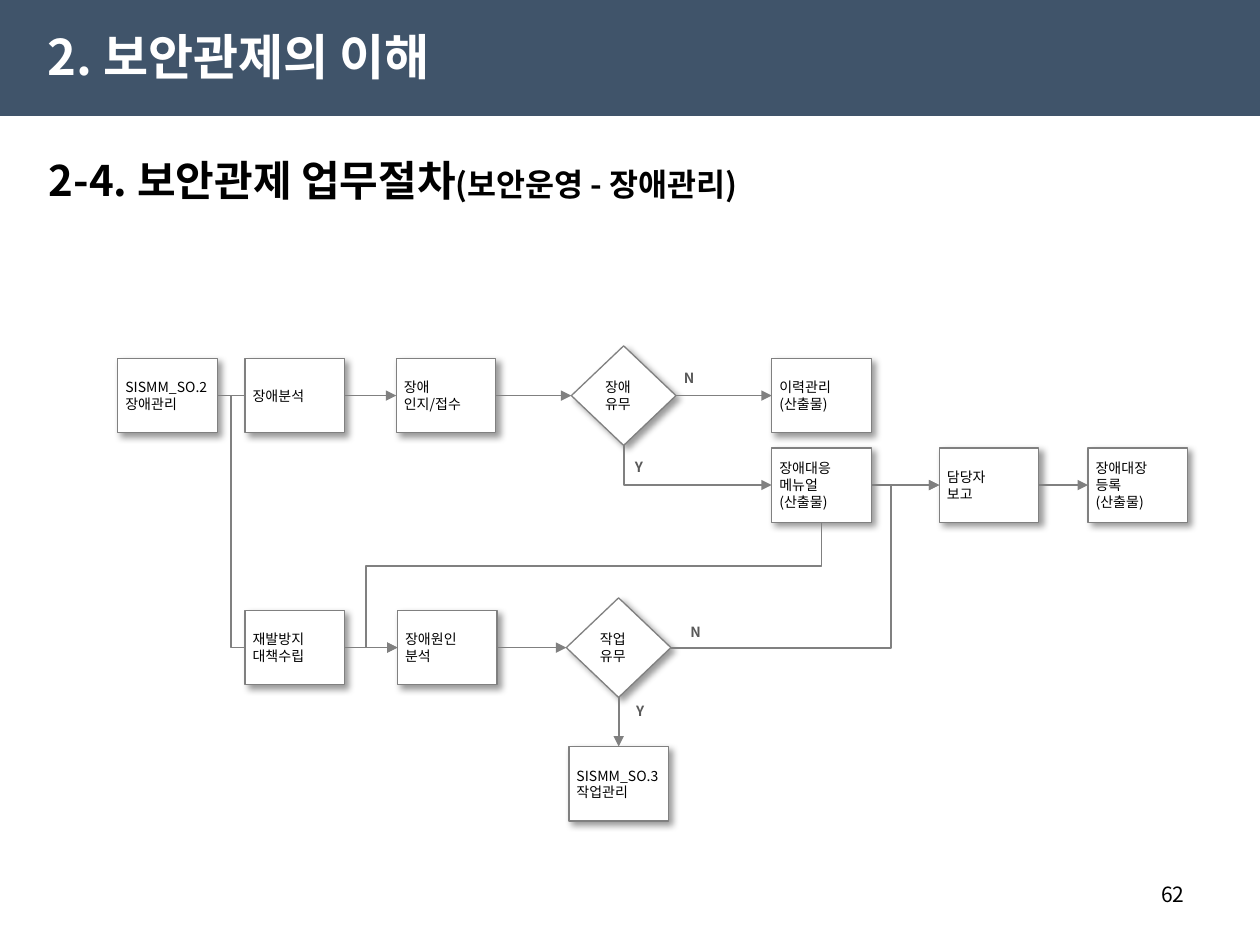
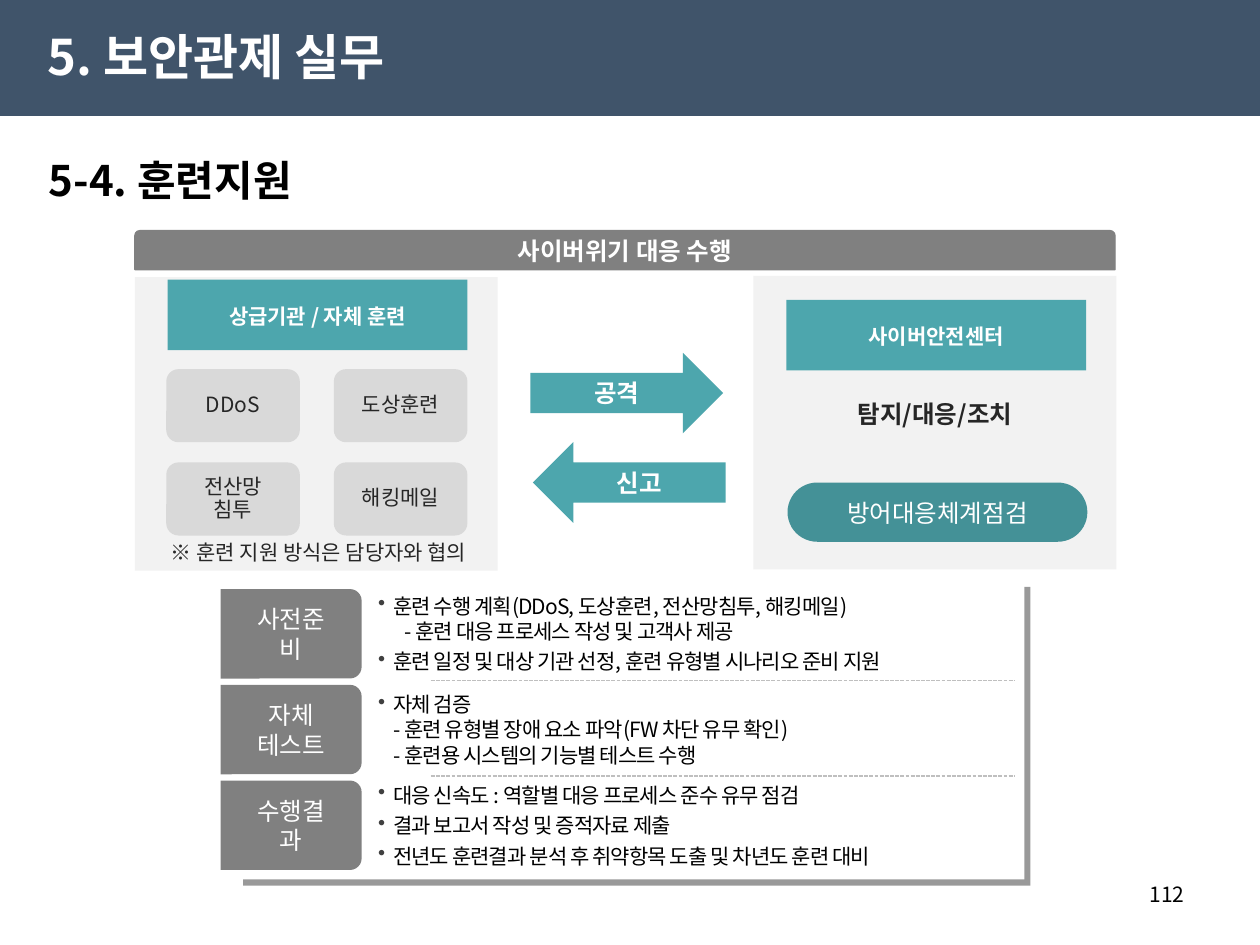
from lxml import etree
from pptx import Presentation
from pptx.dml.color import RGBColor
from pptx.enum.dml import MSO_LINE
from pptx.enum.shapes import MSO_CONNECTOR, MSO_SHAPE
from pptx.enum.text import MSO_ANCHOR, MSO_AUTO_SIZE, PP_ALIGN
from pptx.oxml.ns import qn
from pptx.util import Inches, Pt

LEFT, CENTER, RIGHT = PP_ALIGN.LEFT, PP_ALIGN.CENTER, PP_ALIGN.RIGHT
TOP, MIDDLE = MSO_ANCHOR.TOP, MSO_ANCHOR.MIDDLE
RECT, ROUNDED = MSO_SHAPE.RECTANGLE, MSO_SHAPE.ROUNDED_RECTANGLE
TOP_ROUNDED = MSO_SHAPE.ROUND_2_SAME_RECTANGLE
DECISION = MSO_SHAPE.FLOWCHART_DECISION
RIGHT_ARROW, LEFT_ARROW = MSO_SHAPE.RIGHT_ARROW, MSO_SHAPE.LEFT_ARROW
STRAIGHT, ELBOW = MSO_CONNECTOR.STRAIGHT, MSO_CONNECTOR.ELBOW

FONT = "Noto Sans CJK KR"
NAVY, TEAL, DARK_TEAL = "40546A", "4DA6AD", "449197"
WHITE, BLACK, GRAY, INK = "FFFFFF", "000000", "808080", "262626"
PALE, SILVER, DASH, LABEL, BULLET = "F2F2F2", "D9D9D9", "BFBFBF", "595959", "404040"
DEFAULT_INSETS = (0.1, 0.05)


def color(hex_value):
    return RGBColor.from_string(hex_value)


def child(parent, tag, **attributes):
    return etree.SubElement(parent, qn(tag), attributes)


# Text
def add_span(para, text, size, ink=BLACK, bold=False, spacing=None):
    span = para.add_run()
    span.text = text
    span.font.size, span.font.bold, span.font.name = Pt(size), bold, FONT
    span.font.color.rgb = color(ink)
    properties = span.font._element
    child(properties, "a:ea", typeface=FONT)
    if spacing is not None:
        properties.set("spc", str(round(spacing * 100)))


def prepare_frame(box, anchor=MIDDLE, insets=DEFAULT_INSETS, wrap=True):
    frame = box.text_frame
    frame.word_wrap, frame.vertical_anchor = wrap, anchor
    frame.auto_size = MSO_AUTO_SIZE.NONE
    frame.margin_left = frame.margin_right = Inches(insets[0])
    frame.margin_top = frame.margin_bottom = Inches(insets[1])
    return frame


def write(box, lines, size, ink=BLACK, bold=False, align=LEFT, line_spacing=None,
          **frame_options):
    frame = prepare_frame(box, **frame_options)
    for index, line in enumerate(lines):
        para = frame.add_paragraph() if index else frame.paragraphs[0]
        para.alignment, para.line_spacing = align, line_spacing
        add_span(para, line, size, ink, bold)


def add_box(page, left, top, width, height):
    return page.shapes.add_textbox(
        Inches(left), Inches(top), Inches(width), Inches(height))


# Shapes and lines
def add_figure(page, preset, left, top, width, height, fill, adjust=(), outline=None):
    figure = page.shapes.add_shape(
        preset, Inches(left), Inches(top), Inches(width), Inches(height))
    figure.shadow.inherit = False
    figure.fill.solid()
    figure.fill.fore_color.rgb = color(fill)
    if outline:
        figure.line.color.rgb = color(outline)
        figure.line.width = Pt(0.75)
    else:
        figure.line.fill.background()
    for index, value in enumerate(adjust):
        figure.adjustments[index] = value
    return figure


def cast_shadow(figure, blur, distance):
    effects = figure.element.spPr.find(qn("a:effectLst"))
    shadow = child(effects, "a:outerShdw", blurRad=str(Pt(blur)), dist=str(Pt(distance)),
                   dir="2700000", algn="tl", rotWithShape="0")
    child(child(shadow, "a:srgbClr", val=BLACK), "a:alpha", val="40000")


def add_line(page, kind, start, end, ink=GRAY, width=1):
    line = page.shapes.add_connector(kind, *start, *end)
    line.line.color.rgb = color(ink)
    line.line.width = Pt(width)
    child(line.element.spPr, "a:effectLst")
    return line


def side(figure, name):
    middle_x = figure.left + figure.width // 2
    middle_y = figure.top + figure.height // 2
    return {
        "left": (figure.left, middle_y),
        "right": (figure.left + figure.width, middle_y),
        "top": (middle_x, figure.top),
        "bottom": (middle_x, figure.top + figure.height),
    }[name]


def link(page, tip, origin, bend=None, adjust=(), arrow=True):
    """Join two points; the arrowhead sits on the tip."""
    line = add_line(page, ELBOW if bend else STRAIGHT, tip, origin)
    if bend:
        geometry = line.element.spPr.find(qn("a:prstGeom"))
        geometry.set("prst", bend)
        guides = geometry.find(qn("a:avLst"))
        for number, value in enumerate(adjust, 1):
            child(guides, "a:gd", name=f"adj{number}", fmla=f"val {round(value * 100000)}")
    if arrow:
        child(line.element.spPr.find(qn("a:ln")), "a:headEnd", type="triangle")


# Parts shared by the pages
def add_band(page, layout):
    band = add_figure(page, RECT, 0, 0, 10, 0.92, NAVY)
    layout.shapes.element.insert(2, band.element)


def add_page(deck, layout, title, heading, number):
    page = deck.slides.add_slide(layout)
    holder = page.shapes.title
    holder.left, holder.top = Inches(0.28), Inches(0.13)
    holder.width, holder.height = Inches(4.72), Inches(0.63)
    write(holder, [title], 28, WHITE, True)

    para = prepare_frame(add_box(page, 0.29, 1.15, 9.43, 0.55)).paragraphs[0]
    for text, size in heading:
        add_span(para, text, size, bold=True)
    write(add_box(page, 7.17, 6.95, 2.33, 0.4), [number], 12, align=RIGHT, anchor=TOP)
    return page


# Incident handling flow
def draw_flow(page, left, top):
    first, second, third, fourth = 0.39, 1.1, 2.39, 3.47

    def step(lines, x, y, preset=RECT, width=0.79, height=0.59):
        figure = add_figure(page, preset, left + x - width / 2, top + y - height / 2,
                            width, height, WHITE, outline=GRAY)
        cast_shadow(figure, 4, 3)
        write(figure, lines, 8, insets=(0.06, 0.03))
        return figure

    def decision(lines, x, y):
        return step(lines, x, y, DECISION, 0.83, 0.79)

    start = step(["SISMM_SO.2", "장애관리"], 0.4, first)
    analysis = step(["장애분석"], 1.41, first)
    intake = step(["장애", "인지/접수"], 2.61, first)
    fault = decision(["장애", "유무"], 4.02, first)
    history = step(["이력관리", "(산출물)"], 5.59, first)
    manual = step(["장애대응", "메뉴얼", "(산출물)"], 5.59, second)
    report = step(["담당자", "보고"], 6.92, second)
    register = step(["장애대장", "등록", "(산출물)"], 8.1, second)
    prevention = step(["재발방지", "대책수립"], 1.41, third)
    cause = step(["장애원인", "분석"], 2.62, third)
    work = decision(["작업", "유무"], 3.98, third)
    work_control = step(["SISMM_SO.3", "작업관리"], 3.98, fourth)

    # Straight links along the rows
    link(page, side(analysis, "left"), side(start, "right"), arrow=False)
    for source, target in [(analysis, intake), (intake, fault), (fault, history),
                           (manual, report), (report, register),
                           (prevention, cause), (cause, work)]:
        link(page, side(target, "left"), side(source, "right"))
    link(page, side(work_control, "top"), side(work, "bottom"))

    # Bent links between the rows
    link(page, side(start, "right"), side(prevention, "left"), "bentConnector3", arrow=False)
    link(page, side(manual, "left"), side(fault, "bottom"), "bentConnector2")
    link(page, side(cause, "left"), side(manual, "bottom"), "bentConnector4", (-0.074, 0.648))
    link(page, side(report, "left"), side(work, "right"), "bentConnector3", (0.179,))

    for answer, x, y in [("Y", 4.01, 0.84), ("N", 4.4, 0.13),
                         ("Y", 4.02, 2.78), ("N", 4.45, 2.15)]:
        write(add_box(page, left + x, top + y, 0.28, 0.24), [answer], 8, LABEL, True,
              anchor=TOP, wrap=False)


# Drill overview
def draw_heading_bar(page, left, top):
    bar = add_figure(page, TOP_ROUNDED, left, top, 7.78, 0.31, GRAY, (0.13, 0), GRAY)
    write(bar, ["사이버위기 대응 수행"], 14, WHITE, True, CENTER, insets=(0, 0))


def draw_side_panel(page, left, top, name, name_top):
    add_figure(page, RECT, left, top, 2.88, 2.33, PALE)
    plate = add_figure(page, RECT, left + 0.26, top + name_top, 2.38, 0.56, TEAL)
    write(plate, [name], 12, WHITE, True, CENTER, 1.1, insets=(0, 0))


def draw_drills(page, left, top):
    draw_side_panel(page, left, top, "상급기관 / 자체 훈련", 0.02)
    drills = [["DDoS"], ["도상훈련"], ["전산망", "침투"], ["해킹메일"]]
    for index, lines in enumerate(drills):
        row, column = divmod(index, 2)
        tile = add_figure(page, ROUNDED, left + 0.25 + column * 1.33,
                          top + 0.73 + row * 0.74, 1.06, 0.58, SILVER)
        write(tile, lines, 12, INK, align=CENTER, line_spacing=0.9)
    write(add_box(page, left, top + 2.1, 2.92, 0.19), ["※ 훈련 지원 방식은 담당자와 협의"],
          12, INK, align=CENTER, line_spacing=Pt(13), anchor=TOP, insets=(0, 0))


def draw_center(page, left, top):
    draw_side_panel(page, left, top, "사이버안전센터", 0.19)
    write(add_box(page, left + 0.61, top + 0.95, 1.66, 0.26), ["탐지/대응/조치"],
          14, INK, True, CENTER, 1.1, anchor=TOP, insets=(0, 0))
    pill = add_figure(page, ROUNDED, left + 0.27, top + 1.64, 2.38, 0.47, DARK_TEAL, (0.5,))
    write(pill, ["방어대응체계점검"], 14, WHITE, align=CENTER, line_spacing=Pt(17))


def draw_exchange(page, left, top):
    for index, (preset, name) in enumerate([(RIGHT_ARROW, "공격"), (LEFT_ARROW, "신고")]):
        arrow = add_figure(page, preset, left + index * 0.02, top + index * 0.71,
                           1.53, 0.64, TEAL)
        write(arrow, [name], 14, WHITE, True, CENTER)


# Drill phases: each line holds its text, its dash indent (0 for a bullet) and space after
PHASES = [
    ("사전준비", 0.69, [
        ("훈련 수행 계획(DDoS, 도상훈련, 전산망침투, 해킹메일)", 0, 0),
        ("- 훈련 대응 프로세스 작성 및 고객사 제공", 0.21, 3),
        ("훈련 일정 및 대상 기관 선정, 훈련 유형별 시나리오 준비 지원", 0, 3)]),
    ("자체 테스트", 0.91, [
        ("자체 검증", 0, 0),
        ("- 훈련 유형별 장애 요소 파악(FW 차단 유무 확인)", 0.12, 0),
        ("- 훈련용 시스템의 기능별 테스트 수행", 0.12, 3)]),
    ("수행결과", 0.69, [
        ("대응 신속도 : 역할별 대응 프로세스 준수 유무 점검", 0, 3),
        ("결과 보고서 작성 및 증적자료 제출", 0, 3),
        ("전년도 훈련결과 분석 후 취약항목 도출 및 차년도 훈련 대비", 0, 3)]),
]


def write_phase(box, lines):
    frame = prepare_frame(box, insets=(0, 0))
    for index, (text, dash_indent, after) in enumerate(lines):
        para = frame.add_paragraph() if index else frame.paragraphs[0]
        properties = para._p.get_or_add_pPr()
        properties.set("marL", str(Inches(dash_indent or 0.12)))
        if not dash_indent:
            properties.set("indent", str(-Inches(0.12)))
            child(child(properties, "a:buClr"), "a:srgbClr", val=BULLET)
            child(properties, "a:buChar", char="•")
        para.space_after = Pt(after)
        add_span(para, text, 12, spacing=-0.5)


def draw_phases(page, left, top):
    panel = add_figure(page, RECT, left, top, 6.25, 2.37, WHITE)
    cast_shadow(panel, 0, 5)
    pitch = 0.76
    for index, (name, name_width, lines) in enumerate(PHASES):
        middle_x, middle_y = left + 0.43, top + 0.42 + index * pitch
        tab = add_figure(page, TOP_ROUNDED, middle_x - 0.355, middle_y - 0.56,
                         0.71, 1.12, GRAY, (0.13, 0))
        tab.rotation = 90
        write(add_box(page, middle_x - name_width / 2, middle_y - 0.12, name_width, 0.24),
              [name], 14, WHITE, align=CENTER, insets=(0, 0))
        write_phase(add_box(page, left + 1.12, middle_y - 0.35, 4.52, 0.7), lines)
        if index:
            y = Inches(middle_y - 0.39)
            divider = add_line(page, STRAIGHT, (Inches(left + 1.54), y),
                               (Inches(left + 6.17), y), DASH, 0.75)
            divider.line.dash_style = MSO_LINE.SQUARE_DOT


def main():
    deck = Presentation()
    deck.slide_width, deck.slide_height = Inches(10), Inches(7.5)
    layout = deck.slide_layouts[5]

    flow_page = add_page(deck, layout, "2. 보안관제의 이해",
                         [("2-4. 보안관제 업무절차", 24), ("(보안운영 - 장애관리)", 18)], "62")
    add_band(flow_page, layout)
    draw_flow(flow_page, 0.93, 2.75)

    drill_page = add_page(deck, layout, "5. 보안관제 실무", [("5-4. 훈련지원", 24)], "112")
    draw_heading_bar(drill_page, 1.07, 1.83)
    draw_drills(drill_page, 1.07, 2.2)
    draw_center(drill_page, 5.98, 2.19)
    draw_exchange(drill_page, 4.21, 2.8)
    draw_phases(drill_page, 1.88, 4.61)
    deck.save("out.pptx")


if __name__ == "__main__":
    main()
